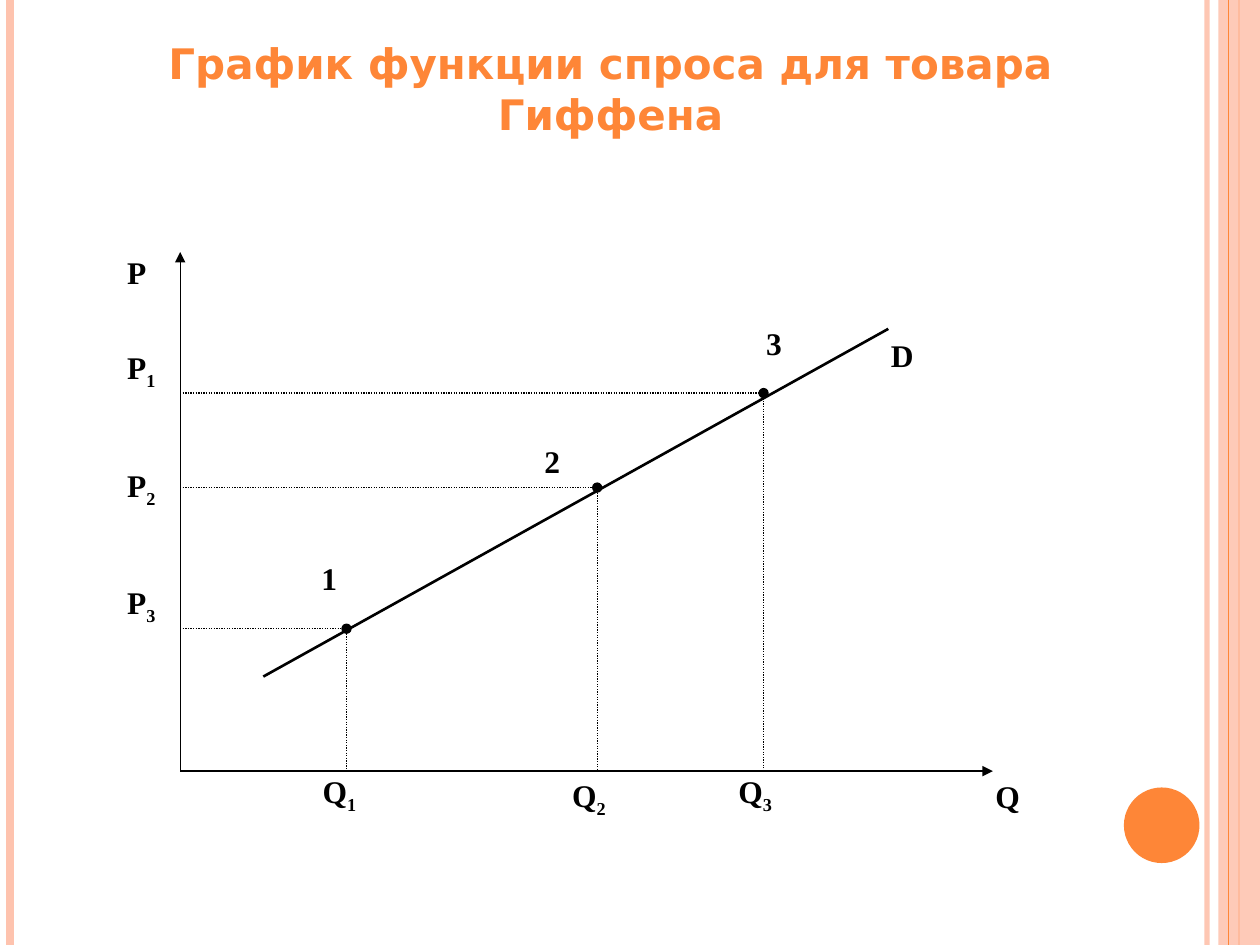
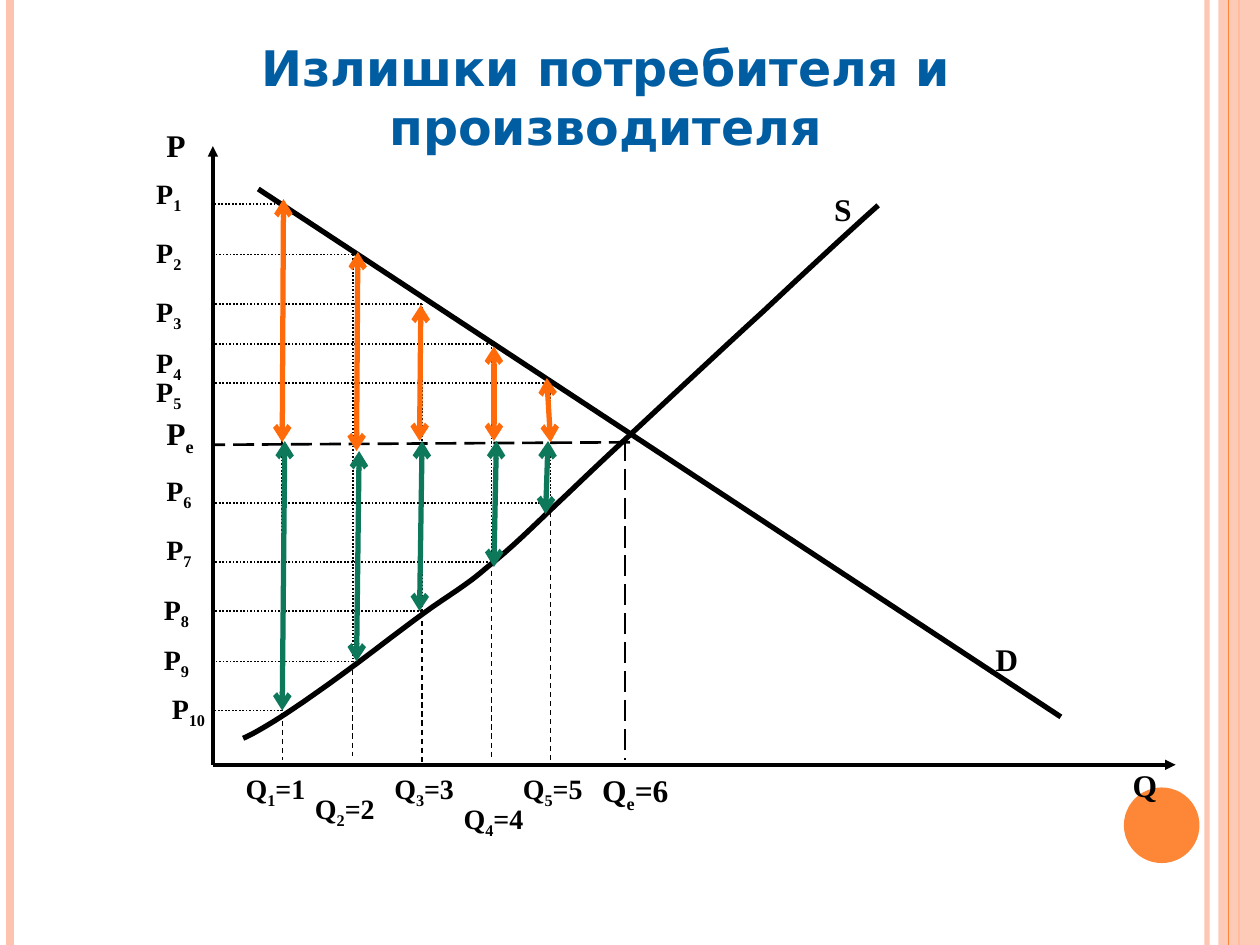
from dataclasses import dataclass, replace
from itertools import pairwise
from typing import Any, NamedTuple

from lxml.etree import SubElement
from pptx import Presentation
from pptx.dml.color import RGBColor
from pptx.enum.dml import MSO_LINE_DASH_STYLE as Dash
from pptx.enum.shapes import MSO_CONNECTOR as Link, MSO_SHAPE as Form
from pptx.enum.text import MSO_ANCHOR as Anchor, MSO_AUTO_SIZE as Fit, PP_ALIGN as Align
from pptx.oxml.ns import qn
from pptx.util import Inches, Pt


@dataclass(frozen=True)
class Theme:
    orange: str = "FE8637"
    peach: str = "FEC3AE"
    blue: str = "005DA2"
    black: str = "000000"
    consumer: str = "FF6B0A"
    producer: str = "0D795A"
    title_font: str = "DejaVu Sans"
    label_font: str = "Times New Roman"
    giffen_title: int = 24
    surplus_title: int = 28
    label: int = 18
    small_label: int = 16


THEME = Theme()


class Point(NamedTuple):
    x: float
    y: float


class Box(NamedTuple):
    left: float
    top: float
    width: float
    height: float


@dataclass(frozen=True)
class Stroke:
    weight: float
    color: str = THEME.black
    dash: Any = None
    head: str = ""
    tail: str = ""
    opacity: int = 100


@dataclass(frozen=True)
class Label:
    text: str
    box: Box
    size: int = THEME.label
    align: Any = Align.LEFT


@dataclass(frozen=True)
class Unit:
    x: float
    demand: float
    supply: float
    dotted_end: float
    dashed: tuple[float, float]
    consumer: tuple[Point, Point]
    producer: tuple[Point, Point]


def apply(target: Any, values: dict[str, Any]) -> None:
    for name, value in values.items():
        setattr(target, name, value)


def font_values(name: str, size: int, color: str) -> dict[str, Any]:
    return {"name": name, "size": Pt(size), "bold": True, "color": color}


def format_font(font: Any, values: dict[str, Any]) -> None:
    font.color.rgb = RGBColor.from_string(values["color"])
    apply(font, {name: value for name, value in values.items() if name != "color"})


def set_opacity(parent: Any, percent: int) -> None:
    for color in parent.iter(qn("a:srgbClr")):
        SubElement(color, qn("a:alpha")).set("val", str(percent * 1000))


def format_line(line: Any, stroke: Stroke) -> None:
    line.color.rgb = RGBColor.from_string(stroke.color)
    line.width = Pt(stroke.weight)
    if stroke.dash is not None:
        line.dash_style = stroke.dash
    outline = line._get_or_add_ln()
    if stroke.opacity < 100:
        set_opacity(outline, stroke.opacity)
    for tag, kind in (("a:headEnd", stroke.head), ("a:tailEnd", stroke.tail)):
        if kind:
            SubElement(outline, qn(tag)).set("type", kind)


def add_line(page: Any, start: Point, end: Point, stroke: Stroke) -> Any:
    ends = [Inches(value) for value in (*start, *end)]
    connector = page.shapes.add_connector(Link.STRAIGHT, *ends)
    format_line(connector.line, stroke)
    SubElement(connector._element.spPr, qn("a:effectLst"))
    return connector


def add_solid(page: Any, form: Any, box: Box, color: str, opacity: int = 100) -> Any:
    shape = page.shapes.add_shape(form, *map(Inches, box))
    shape.shadow.inherit = False
    shape.fill.solid()
    shape.fill.fore_color.rgb = RGBColor.from_string(color)
    shape.line.fill.background()
    if opacity < 100:
        set_opacity(shape._element.spPr, opacity)
    return shape


def add_label(page: Any, label: Label) -> None:
    frame = page.shapes.add_textbox(*map(Inches, label.box)).text_frame
    apply(frame, {
        "word_wrap": True, "margin_left": Inches(0.02), "margin_right": Inches(0.02),
        "margin_top": Inches(0.01), "margin_bottom": Inches(0.01),
    })
    para = frame.paragraphs[0]
    para.alignment = label.align
    for index, part in enumerate(label.text.split("|")):
        span = para.add_run()
        span.text = part
        format_font(span.font, font_values(THEME.label_font, label.size, THEME.black))
        if index % 2:
            span._r.get_or_add_rPr().set("baseline", "-25000")


def add_curve(page: Any, start: Point, segments: list[tuple[Point, Point, Point]], stroke: Stroke) -> None:
    steps = 8
    points = []
    for first, second, end in segments:
        for step in range(1, steps + 1):
            t = step / steps
            weights = ((1 - t) ** 3, 3 * t * (1 - t) ** 2, 3 * t * t * (1 - t), t ** 3)
            corners = (start, first, second, end)
            points.append(tuple(
                Inches(sum(w * corner[axis] for w, corner in zip(weights, corners)))
                for axis in (0, 1)
            ))
        if first == segments[0][0]:
            origin = tuple(map(Inches, start))
        start = end
    builder = page.shapes.build_freeform(*origin)
    builder.add_line_segments(points, close=False)
    shape = builder.convert_to_shape()
    shape.shadow.inherit = False
    shape.fill.background()
    format_line(shape.line, stroke)


def add_frame(page: Any) -> None:
    for x, stroke in (
        (9.58, Stroke(3, THEME.peach, opacity=93)),
        (0.08, Stroke(4.5, THEME.peach)),
    ):
        add_line(page, Point(x, 0), Point(x, 7.5), stroke)
    band = add_solid(page, Form.RECTANGLE, Box(9.67, 0, 0.33, 7.5), THEME.peach, 87)
    core = add_line(page, Point(9.83, 0), Point(9.83, 7.5), Stroke(1.5, THEME.orange))
    core.begin_connect(band, 0)
    core.end_connect(band, 2)
    band._element.addprevious(core._element)
    add_line(page, Point(9.75, 0), Point(9.75, 7.5), Stroke(0.75, THEME.orange))
    add_solid(page, Form.OVAL, Box(8.92, 6.25, 0.6, 0.6), THEME.orange)


def add_page(deck: Any, text: str, box: Box, size: int, color: str) -> Any:
    page = deck.slides.add_slide(deck.slide_layouts[5])
    title = page.shapes.title
    apply(title, dict(zip(("left", "top", "width", "height"), map(Inches, box))))
    frame = title.text_frame
    frame.text = text
    apply(frame, {"word_wrap": True, "auto_size": Fit.NONE, "vertical_anchor": Anchor.TOP})
    para = frame.paragraphs[0]
    apply(para, {"alignment": Align.CENTER, "space_before": Pt(0)})
    format_font(para.runs[0].font, font_values(THEME.title_font, size, color))
    add_frame(page)
    return page


def add_axes(page: Any, origin: Point, top: float, right: float, weight: float) -> None:
    stroke = Stroke(weight, tail="triangle")
    add_line(page, origin, Point(origin.x, top), stroke)
    add_line(page, origin, Point(right, origin.y), stroke)


def build_giffen(deck: Any) -> None:
    page = add_page(deck, "График функции спроса для товара Гиффена",
                    Box(0.75, 0.25, 8.19, 0.9), THEME.giffen_title, THEME.orange)
    origin = Point(1.43, 6.12)
    add_axes(page, origin, 2, 7.88, 0.75)
    dotted = Stroke(0.75, dash=Dash.ROUND_DOT)
    for point in (Point(2.75, 4.99), Point(4.74, 3.87), Point(6.06, 3.12)):
        add_line(page, Point(origin.x, point.y), point, replace(dotted, tail="oval"))
        add_line(page, point, Point(point.x, origin.y), dotted)
    add_line(page, Point(7.05, 2.61), Point(2.09, 5.37), Stroke(1.5))
    for text, left, top, width in (
        ("Р", 0.99, 2, 0.44), ("Р|1", 0.99, 2.75, 0.66),
        ("Р|2", 0.99, 3.69, 0.66), ("Р|3", 0.99, 4.62, 0.66),
        ("Q|1", 2.54, 6.12, 0.44), ("Q|2", 4.52, 6.15, 0.44),
        ("Q|3", 5.84, 6.12, 0.44), ("Q", 7.88, 6.16, 0.44),
        ("1", 2.53, 4.43, 0.66), ("2", 4.3, 3.5, 0.44),
        ("3", 6.06, 2.56, 0.66), ("D", 7.05, 2.66, 0.66),
    ):
        add_label(page, Label(text, Box(left, top, width, 0.56)))


UNITS = (
    Unit(2.24, 1.62, 5.64, 5.71, (5.72, 6.03),
         (Point(2.25, 1.58), Point(2.24, 3.51)), (Point(2.26, 3.5), Point(2.24, 5.64))),
    Unit(2.8, 2.02, 5.25, 5.25, (5.32, 6),
         (Point(2.84, 2), Point(2.83, 3.58)), (Point(2.85, 3.58), Point(2.83, 5.25))),
    Unit(3.35, 2.41, 4.85, 4.88, (4.93, 6.06),
         (Point(3.34, 2.42), Point(3.33, 3.5)), (Point(3.35, 3.5), Point(3.33, 4.85))),
    Unit(3.9, 2.73, 4.46, 4.46, (4.46, 6.02),
         (Point(3.92, 2.75), Point(3.92, 3.5)), (Point(3.94, 3.5), Point(3.92, 4.5))),
    Unit(4.37, 3.04, 3.99, 4.02, (4.06, 6.03),
         (Point(4.34, 3), Point(4.37, 3.51)), (Point(4.35, 3.5), Point(4.33, 4.08))),
)

SUPPLY = [Point(*pair) for pair in (
    (1.93, 5.86),
    (1.98, 5.84), (2.09, 5.78), (2.23, 5.69), (2.37, 5.6), (2.57, 5.46), (2.76, 5.32),
    (2.95, 5.18), (3.18, 5), (3.36, 4.87), (3.55, 4.73), (3.7, 4.65), (3.87, 4.5),
    (4.05, 4.36), (4.24, 4.17), (4.42, 4), (4.6, 3.83), (4.69, 3.74), (4.96, 3.49),
    (5.24, 3.23), (5.72, 2.78), (6.06, 2.47), (6.39, 2.16), (6.68, 1.89), (6.97, 1.63),
)]


def surplus_labels() -> list[Label]:
    small = THEME.small_label
    labels = [Label(f"Р|{number}", Box(1.22, top, 0.36, 0.34), small)
              for number, top in enumerate((1.39, 1.86, 2.33, 2.73, 2.96), 1)]
    labels += [Label(f"Р|{number}", Box(1.3, top, 0.36, 0.34), small)
               for number, top in ((6, 3.75), (7, 4.22))]
    labels += [Label(f"Р|{number}", Box(1.22, top, width, 0.34), small, Align.CENTER)
               for number, top, width in ((8, 4.69, 0.36), (9, 5.09, 0.36), (10, 5.48, 0.55))]
    places = ((1.93, 6.11), (2.48, 6.27), (3.11, 6.11), (3.66, 6.35), (4.13, 6.11))
    labels += [Label(f"Q|{number}|={number}", Box(*place, 0.73, 0.3), small)
               for number, place in enumerate(places, 1)]
    return labels + [
        Label("Р", Box(1.3, 0.99, 0.36, 0.68)),
        Label("Р|е", Box(1.3, 3.28, 0.36, 0.34)),
        Label("S", Box(6.6, 1.5, 0.73, 0.51)),
        Label("D", Box(7.88, 5.07, 0.55, 0.68)),
        Label("Q", Box(8.97, 6.07, 0.36, 0.34)),
        Label("Q|e|=6", Box(4.76, 6.11, 0.73, 0.3)),
    ]


def build_surplus(deck: Any) -> None:
    page = add_page(deck, "Излишки потребителя и производителя",
                    Box(0.83, 0.25, 7.95, 1.04), THEME.surplus_title, THEME.blue)
    origin = Point(1.69, 6.07)
    dotted = Stroke(1, dash=Dash.ROUND_DOT)
    dashed = Stroke(0.75, dash=Dash.DASH)
    for unit in UNITS:
        for top, bottom in pairwise((unit.demand, 3.51, unit.dotted_end)):
            add_line(page, Point(unit.x, top), Point(unit.x, bottom), dotted)
        for price in (unit.demand, unit.supply):
            add_line(page, Point(unit.x, price), Point(origin.x, price), dotted)
        add_line(page, *(Point(unit.x, y) for y in unit.dashed), dashed)
    add_axes(page, origin, 1.16, 9.33, 2)
    add_line(page, Point(2.05, 1.5), Point(8.42, 5.69), Stroke(3))
    balance = Stroke(1.5, dash=Dash.LONG_DASH)
    add_line(page, Point(5, 3.51), Point(origin.x, 3.53), balance)
    add_line(page, Point(4.96, 3.49), Point(4.96, 6.03), balance)
    for label in surplus_labels():
        add_label(page, label)
    segments = [tuple(SUPPLY[i:i + 3]) for i in range(1, len(SUPPLY), 3)]
    add_curve(page, SUPPLY[0], segments, Stroke(3))
    for unit in UNITS:
        for ends, color in ((unit.consumer, THEME.consumer), (unit.producer, THEME.producer)):
            add_line(page, *ends, Stroke(3, color, head="arrow", tail="arrow"))


def main() -> None:
    deck = Presentation()
    apply(deck, {"slide_width": Inches(10), "slide_height": Inches(7.5)})
    build_giffen(deck)
    build_surplus(deck)
    deck.save("out.pptx")


if __name__ == "__main__":
    main()
